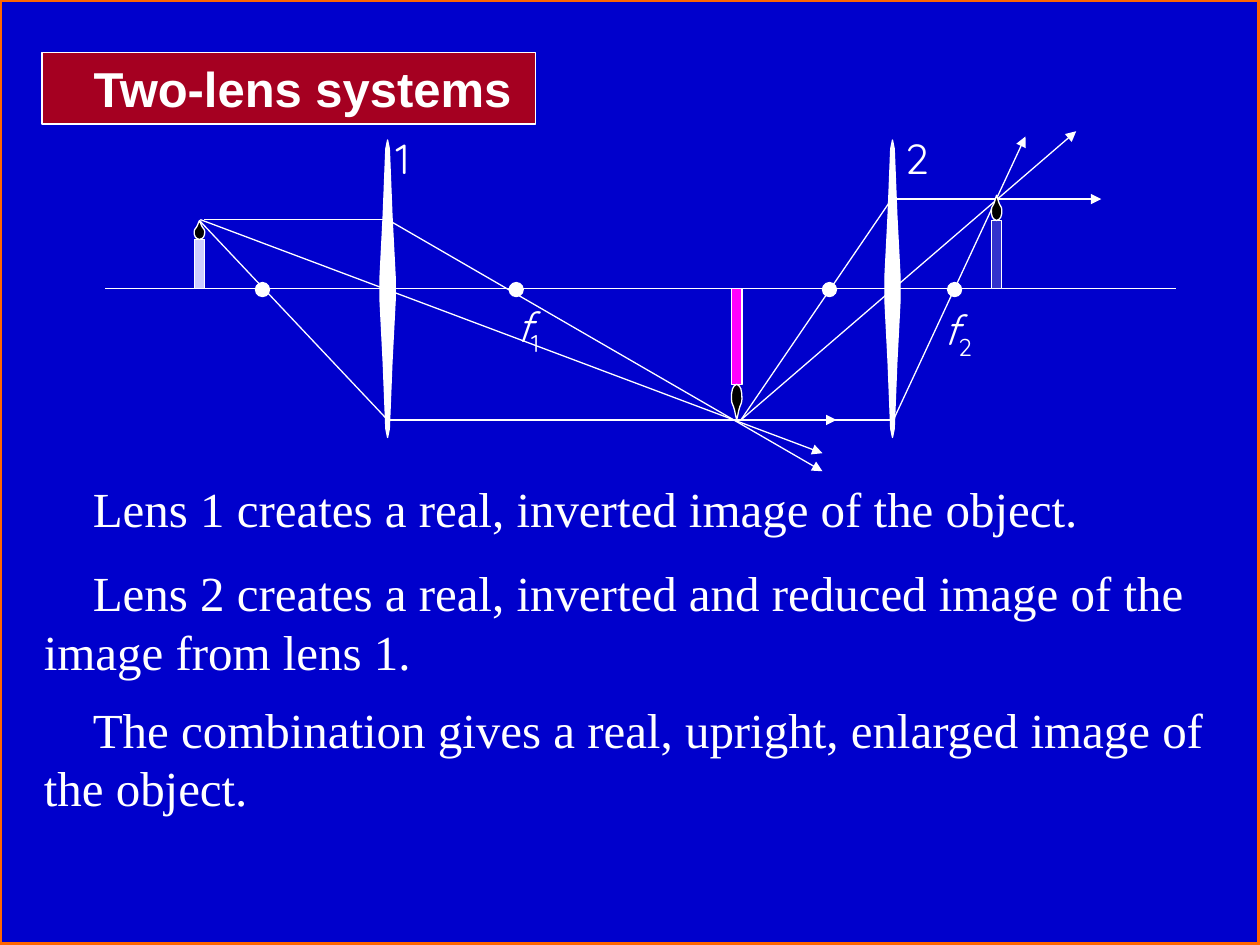
import pptx
import pptx.util
import pptx.dml.color
import pptx.enum.shapes
import pptx.enum.text
import pptx.oxml.ns
from lxml import etree

Pt = pptx.util.Pt
RGB = pptx.dml.color.RGBColor
KIND = pptx.enum.shapes.MSO_SHAPE
qn = pptx.oxml.ns.qn

BLUE = RGB(0x00, 0x00, 0xCC)
ORANGE = RGB(0xFF, 0x66, 0x00)
RED = RGB(0xA5, 0x00, 0x21)
WHITE = RGB(0xFF, 0xFF, 0xFF)
BLACK = RGB(0x00, 0x00, 0x00)
PALE = RGB(0xCC, 0xCC, 0xFF)
PINK = RGB(0xFF, 0x00, 0xFF)
INDIGO = RGB(0x33, 0x33, 0xCC)

# Right half outlines: half-width against distance from the middle or the tip
LENS = [(0, -85), (1, -80), (2.5, -42), (4.3, -7), (4.3, 7), (2.5, 42), (1, 80), (0, 85)]
FLAME = [(0, 0), (0.2, 0.13), (0.4, 0.27), (0.6, 0.37), (0.9, 0.48), (1, 0.58),
         (0.97, 0.74), (0.8, 0.87), (0.5, 0.95), (0, 1)]

AXIS = 90
LENS_1, LENS_2 = 161.5, 450
HIGH_1, HIGH_2, LOW = 50.5, 38.8, 165
TIP = 363.4
FOCI = [90, 235, 414, 485.5]
CANDLES = [  # middle, wick, tip, colour
    (54, 61.8, 51, PALE),
    (361, 144.6, 165, PINK),
    (509.5, 51, 36.6, INDIGO),
]
RAYS = [  # from, to, arrowhead
    ((0, AXIS), (612, AXIS), False),
    ((54.5, HIGH_1), (410, 184), True),
    ((54, 51), (LENS_1, LOW), False),
    ((LENS_1, LOW), (418, LOW), True),
    ((56.5, HIGH_1), (LENS_1, HIGH_1), False),
    ((LENS_1, HIGH_1), (410, 194.3), True),
    ((LENS_2, HIGH_2), (569.3, HIGH_2), True),
    ((TIP, LOW), (451, 36.6), False),
    ((TIP, LOW), (555, 0), True),
    ((450.5, LOW), (526, 3), True),
    ((TIP, LOW), (LENS_2, LOW), False),
]
LABELS = [  # left, top, symbol, subscript
    (159, -3, "1", ""),
    (450, -3, "2", ""),
    (228, 93, "f", "1"),
    (472, 95, "f", "2"),
]
NOTES = [  # top, height, text
    (270, 41, "Lens 1 creates a real, inverted image of the object."),
    (318, 75, "Lens 2 creates a real, inverted and reduced image of the image from lens 1."),
    (396, 75, "The combination gives a real, upright, enlarged image of the object."),
]


def paint(shape, fill, line=WHITE, width=0.75):
    shape.shadow.inherit = False
    if fill is None:
        shape.fill.background()
    else:
        shape.fill.solid()
        shape.fill.fore_color.rgb = fill
    shape.line.color.rgb = line
    shape.line.width = Pt(width)


def add_shape(slide, kind, box, fill, **style):
    shape = slide.shapes.add_shape(kind, *map(Pt, box))
    paint(shape, fill, **style)
    return shape


def add_ray(slide, start, end, arrow):
    ray = slide.shapes.add_connector(
        pptx.enum.shapes.MSO_CONNECTOR.STRAIGHT, *map(Pt, start + end))
    ray.line.color.rgb = WHITE
    ray.line.width = Pt(0.75)
    if arrow:
        etree.SubElement(ray.line._get_or_add_ln(), qn("a:tailEnd"), type="triangle")
    etree.SubElement(ray._element.spPr, qn("a:effectLst"))


def add_mirrored(slide, x, y, half, wide, high, fill):
    """Draw a closed outline from its right half, mirrored about x."""
    left = [(-a, b) for a, b in reversed(half[1:-1])]
    points = [(Pt(x + a * wide), Pt(y + b * high)) for a, b in half + left]
    pen = slide.shapes.build_freeform(*points[0])
    pen.add_line_segments(points[1:], close=True)
    paint(pen.convert_to_shape(), fill)


def add_text(slide, box, text, font, size):
    frame = slide.shapes.add_textbox(*map(Pt, box)).text_frame
    frame.word_wrap = True
    para = frame.paragraphs[0]
    para.text = text
    para.font.name = font
    para.font.size = Pt(size)
    para.font.color.rgb = WHITE
    return para


def add_label(slide, x, y, symbol, sub):
    box = (x, y, 44, 40) if sub else (x, y, 32, 36)
    para = add_text(slide, box, symbol, "Quicksand", 24)
    if sub:
        para.runs[0].font.italic = True
        run = para.add_run()
        run.text = sub
        run.font._element.set("baseline", "-25000")


def add_candle(slide, x, base, wick, tip, fill):
    box = (x - 3, min(base, wick), 6, abs(wick - base))
    add_shape(slide, KIND.RECTANGLE, box, fill)
    add_mirrored(slide, x, tip, FLAME, 3, wick - tip, BLACK)


def add_title(slide, box):
    shape = add_shape(slide, KIND.RECTANGLE, box, RED)
    frame = shape.text_frame
    frame.margin_left = Pt(22.8)
    para = frame.paragraphs[0]
    para.text = "Two-lens systems"
    para.alignment = pptx.enum.text.PP_ALIGN.CENTER
    para.font.name = "Arial"
    para.font.size = Pt(28)
    para.font.bold = True
    para.font.color.rgb = WHITE


def add_diagram(slide, left, top):
    for x in (LENS_1, LENS_2):
        add_mirrored(slide, left + x, top + AXIS, LENS, 1, 1, WHITE)
    for (x1, y1), (x2, y2), arrow in RAYS:
        add_ray(slide, (left + x1, top + y1), (left + x2, top + y2), arrow)
    for x in FOCI:
        add_shape(slide, KIND.OVAL, (left + x - 4, top + AXIS - 3.5, 8, 8), WHITE)
    for x, y, symbol, sub in LABELS:
        add_label(slide, left + x, top + y, symbol, sub)
    for x, wick, tip, fill in CANDLES:
        add_candle(slide, left + x, top + AXIS, top + wick, top + tip, fill)


def add_notes(slide, left, width):
    for top, height, text in NOTES:
        para = add_text(slide, (left, top, width, height), text, "Times New Roman", 28)
        para._p.get_or_add_pPr().set("indent", str(Pt(28)))


def main():
    deck = pptx.Presentation()
    deck.slide_width, deck.slide_height = Pt(720), Pt(540)
    slide = deck.slides.add_slide(deck.slide_layouts[6])
    slide.background.fill.solid()
    slide.background.fill.fore_color.rgb = BLUE
    add_shape(slide, KIND.RECTANGLE, (0, 0, 720, 540), None, line=ORANGE, width=2.75)
    add_title(slide, (24, 30, 282, 41))
    add_diagram(slide, 60, 75)
    add_notes(slide, 18, 684)
    deck.save("out.pptx")


if __name__ == "__main__":
    main()
